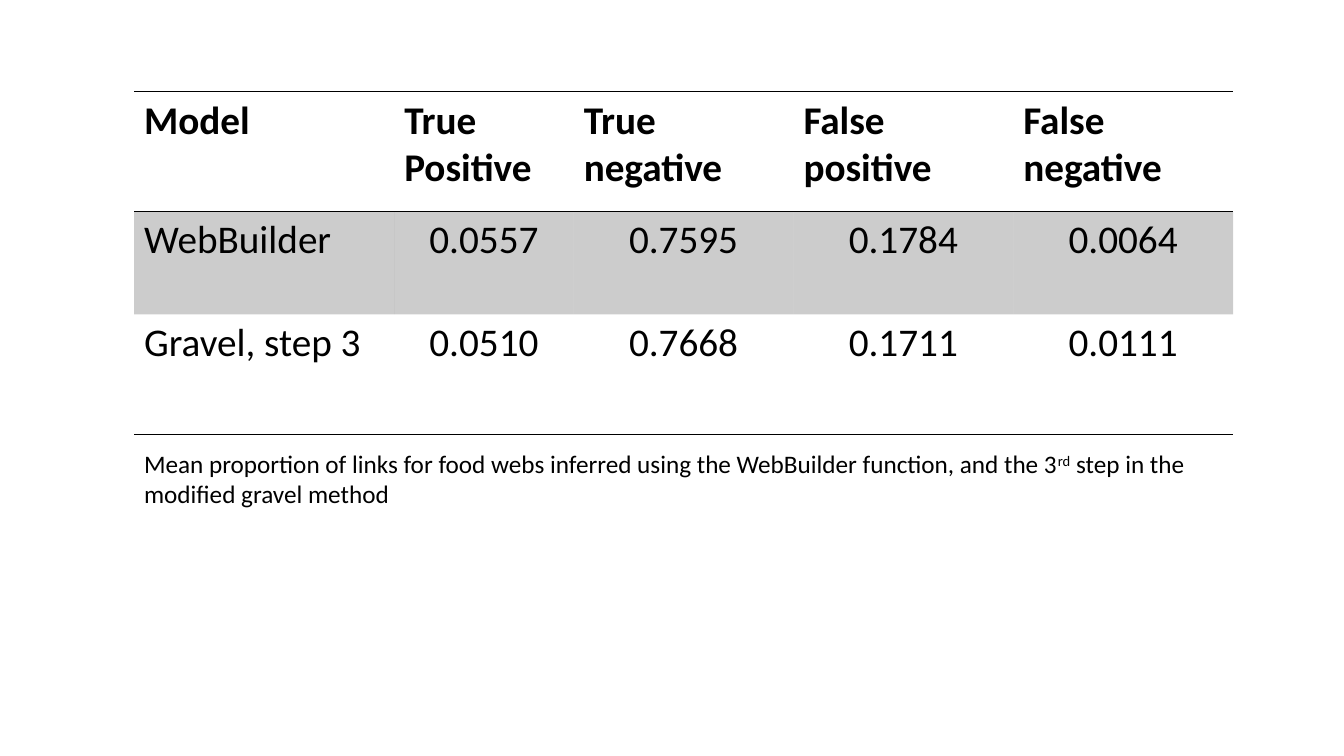
"""Build a slide with a table of link proportions and its caption."""
from lxml import etree
from pptx import Presentation, util as u
from pptx.dml import color
from pptx.enum import text
from pptx.oxml import ns

PLAIN_TABLE = "{2D5ABB26-0587-4C30-8999-92F81FD0307C}"
HEADINGS = ["Model", "True Positive", "True negative", "False positive", "False negative"]
MODELS = [
    ["WebBuilder", "0.0557", "0.7595", "0.1784", "0.0064"],
    ["Gravel, step 3", "0.0510", "0.7668", "0.1711", "0.0111"],
]


def paint(value):
    return color.RGBColor.from_string(value)


def add_text(para, words, font="Calibri", size=28, ink="000000", bold=False, baseline=0):
    span = para.add_run()
    span.text = words
    span.font.name = font
    span.font.size = u.Pt(size)
    span.font.bold = bold
    span.font.color.rgb = paint(ink)
    if baseline:
        span.font._element.set("baseline", str(baseline * 1000))


class SlideBuilder:
    ink = "000000"
    font = "Calibri"
    band_opacity = 20
    rule_width = 1

    def __init__(self, page):
        self.page = page

    def rule(self, cell, side):
        line = etree.Element(ns.qn(f"a:{side}"), w=str(u.Pt(self.rule_width)))
        fill = etree.SubElement(line, ns.qn("a:solidFill"))
        etree.SubElement(fill, ns.qn("a:srgbClr"), val=self.ink)
        properties = cell._tc.get_or_add_tcPr()
        position = len(properties.findall(ns.qn("a:lnT")))
        properties.insert(position, line)

    def shade(self, cell):
        cell.fill.solid()
        cell.fill.fore_color.rgb = paint(self.ink)
        shade = cell._tc.tcPr.find(".//" + ns.qn("a:srgbClr"))
        etree.SubElement(shade, ns.qn("a:alpha"), val=str(self.band_opacity * 1000))

    def table(self, rows, left, top, widths, heights):
        frame = self.page.shapes.add_table(
            len(rows), len(widths), u.Inches(left), u.Inches(top),
            u.Inches(sum(widths)), u.Inches(sum(heights)))
        table = frame.table
        table._tbl.tblPr.find(ns.qn("a:tableStyleId")).text = PLAIN_TABLE
        for column, width in zip(table.columns, widths):
            column.width = u.Inches(width)
        for row, height in zip(table.rows, heights):
            row.height = u.Inches(height)
        for i, row in enumerate(rows):
            for j, words in enumerate(row):
                self.cell(table.cell(i, j), words, i, j, last=i == len(rows) - 1)

    def cell(self, cell, words, i, j, last):
        header = i == 0
        para = cell.text_frame.paragraphs[0]
        add_text(para, words, font=self.font, ink=self.ink, bold=header)
        if not header and j > 0:
            para.alignment = text.PP_ALIGN.CENTER
        if i % 2:
            self.shade(cell)
        else:
            cell.fill.background()
        if header:
            self.rule(cell, "lnT")
        if header or last:
            self.rule(cell, "lnB")

    def caption(self, pieces, left, top, width, height):
        box = self.page.shapes.add_textbox(
            u.Inches(left), u.Inches(top), u.Inches(width), u.Inches(height))
        box.text_frame.word_wrap = True
        box.text_frame.auto_size = text.MSO_AUTO_SIZE.SHAPE_TO_FIT_TEXT
        para = box.text_frame.paragraphs[0]
        for words, baseline in pieces:
            add_text(para, words, font=self.font, size=18, ink=self.ink, baseline=baseline)


def main():
    deck = Presentation()
    deck.slide_width, deck.slide_height = u.Inches(13.33), u.Inches(7.5)
    builder = SlideBuilder(deck.slides.add_slide(deck.slide_layouts[6]))
    builder.table([HEADINGS] + MODELS, 1.33, 0.91,
                  widths=[2.58, 1.78] + [2.18] * 3, heights=[1.19, 1.02, 1.19])
    builder.caption([
        ("Mean proportion of links for food webs inferred using the "
         "WebBuilder function, and the 3", 0),
        ("rd", 30),
        (" step in the modified gravel method", 0),
    ], 1.33, 4.4, 10.99, 0.71)
    deck.save("out.pptx")


if __name__ == "__main__":
    main()
